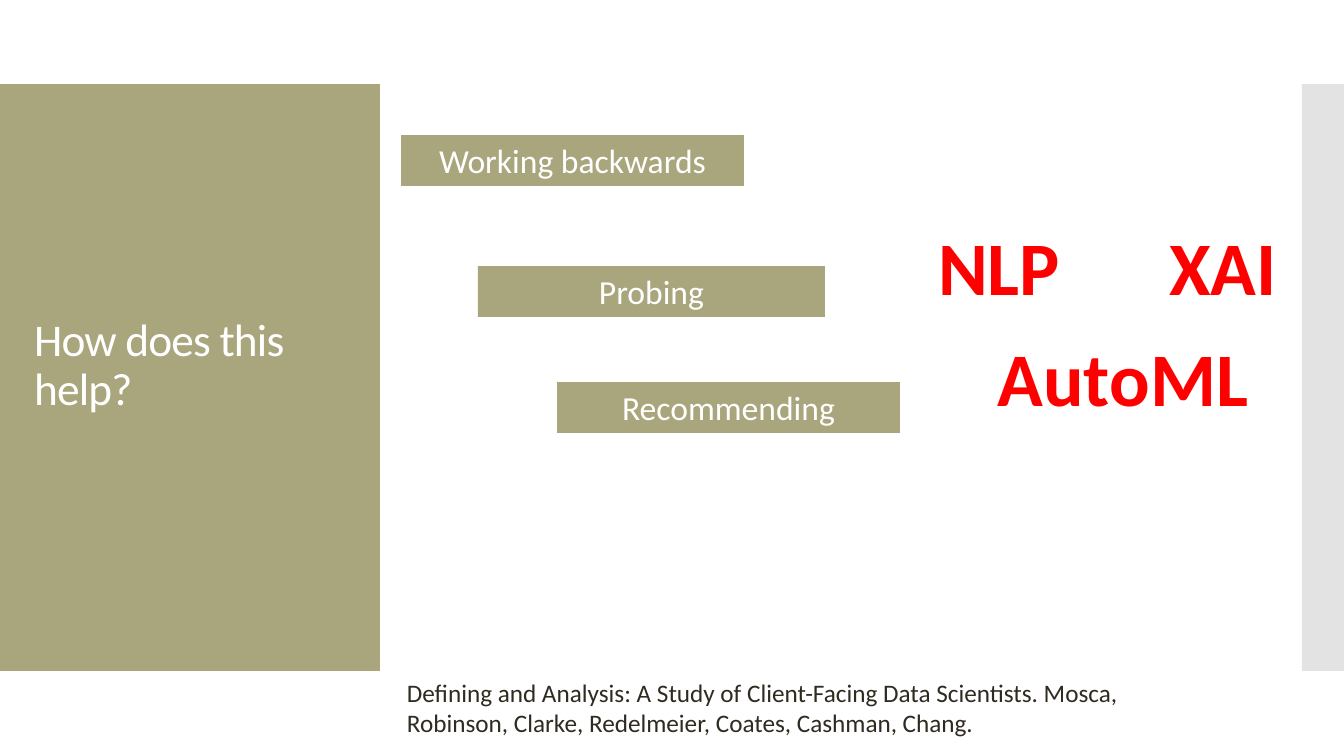
"""Build the slide "How does this help?" with its steps, techniques and citation."""
from dataclasses import dataclass

from lxml import etree
from pptx import Presentation, util as u
from pptx.dml.color import RGBColor
from pptx.enum import shapes, text
from pptx.oxml import ns

TITLE = ("How does this help?", (24, 338, 346, 56))
CITATION = (
    "Defining and Analysis: A Study of Client-Facing Data Scientists. "
    "Mosca, Robinson, Clarke, Redelmeier, Coates, Cashman, Chang.",
    (397, 672, 795, 72),
)
STEPS = [
    ("Working backwards", (401, 135, 343, 51)),
    ("Probing", (478, 266, 347, 51)),
    ("Recommending", (557, 382, 343, 51)),
]
TECHNIQUES = [
    ("NLP", (900, 215, 198, 102)),
    ("XAI", (1124, 215, 198, 102)),
    ("AutoML", (976, 326, 294, 102)),
]
TITLE_PANEL = (0, 84, 380, 587)
EDGE_PANEL = (1302, 84, 42, 587)
SLIDE_SIZE = (1344, 756)
EMU_PER_PX = 914400 / 100.8


@dataclass(frozen=True)
class Theme:
    font: str = "Calibri"
    olive: str = "A9A57C"
    grey: str = "C8C8C8"
    white: str = "FFFFFF"
    dark: str = "2F2B20"
    red: str = "FF0000"
    title: float = 32.4
    step: int = 24
    technique: int = 54
    citation: int = 18


THEME = Theme()


def px(*lengths):
    return [u.Emu(round(length * EMU_PER_PX)) for length in lengths]


def write(shape, words, size, color, alignment, bold=False):
    frame = shape.text_frame
    frame.word_wrap = True
    frame.text = words
    paragraph = frame.paragraphs[0]
    paragraph.alignment = alignment
    font = paragraph.font
    font.name, font.size, font.bold = THEME.font, u.Pt(size), bold
    font.color.rgb = RGBColor.from_string(color)
    return paragraph


def add_box(slide, box, color):
    shape = slide.shapes.add_shape(shapes.MSO_SHAPE.RECTANGLE, *px(*box))
    shape.shadow.inherit = False
    shape.fill.solid()
    shape.fill.fore_color.rgb = RGBColor.from_string(color)
    shape.line.fill.background()
    return shape


def place_title(slide):
    words, box = TITLE
    title = slide.shapes.title
    title.left, title.top, title.width, title.height = px(*box)
    paragraph = write(title, words, THEME.title, THEME.white, text.PP_ALIGN.LEFT)
    paragraph.line_spacing = 0.9
    paragraph.runs[0]._r.get_or_add_rPr().set("spc", "-60")
    title.text_frame.vertical_anchor = text.MSO_ANCHOR.MIDDLE
    title.text_frame.auto_size = text.MSO_AUTO_SIZE.NONE
    slide.shapes._spTree.append(title._element)


def main():
    presentation = Presentation()
    presentation.slide_width, presentation.slide_height = px(*SLIDE_SIZE)
    slide = presentation.slides.add_slide(presentation.slide_layouts[5])

    add_box(slide, TITLE_PANEL, THEME.olive)
    edge = add_box(slide, EDGE_PANEL, THEME.grey)
    edge_color = edge._element.spPr.find(".//" + ns.qn("a:srgbClr"))
    etree.SubElement(edge_color, ns.qn("a:alpha"), val="50000")
    place_title(slide)

    words, box = CITATION
    citation = slide.shapes.add_textbox(*px(*box))
    write(citation, words, THEME.citation, THEME.dark, text.PP_ALIGN.LEFT)
    for words, box in STEPS:
        step = add_box(slide, box, THEME.olive)
        write(step, words, THEME.step, THEME.white, text.PP_ALIGN.CENTER)
        step.text_frame.vertical_anchor = text.MSO_ANCHOR.TOP
    for words, box in TECHNIQUES:
        technique = slide.shapes.add_textbox(*px(*box))
        write(technique, words, THEME.technique, THEME.red, text.PP_ALIGN.CENTER, bold=True)

    presentation.save("out.pptx")


if __name__ == "__main__":
    main()
